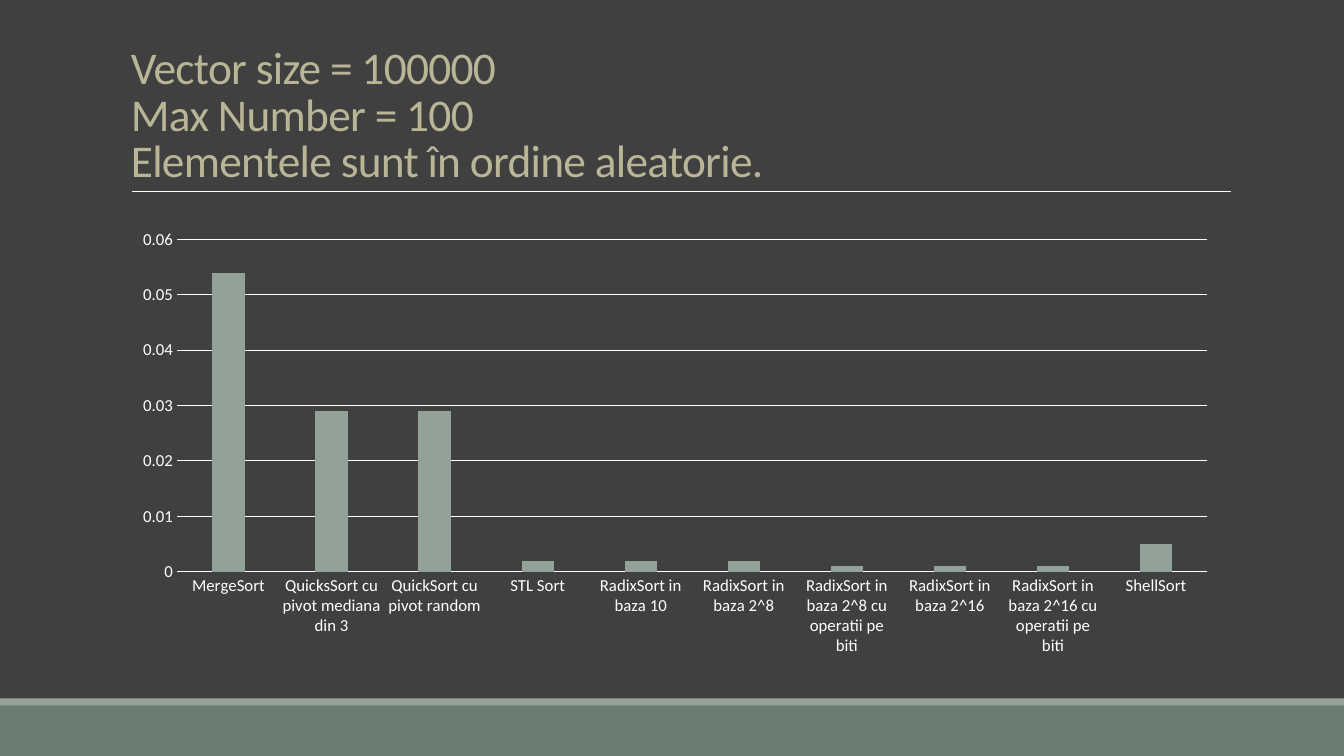
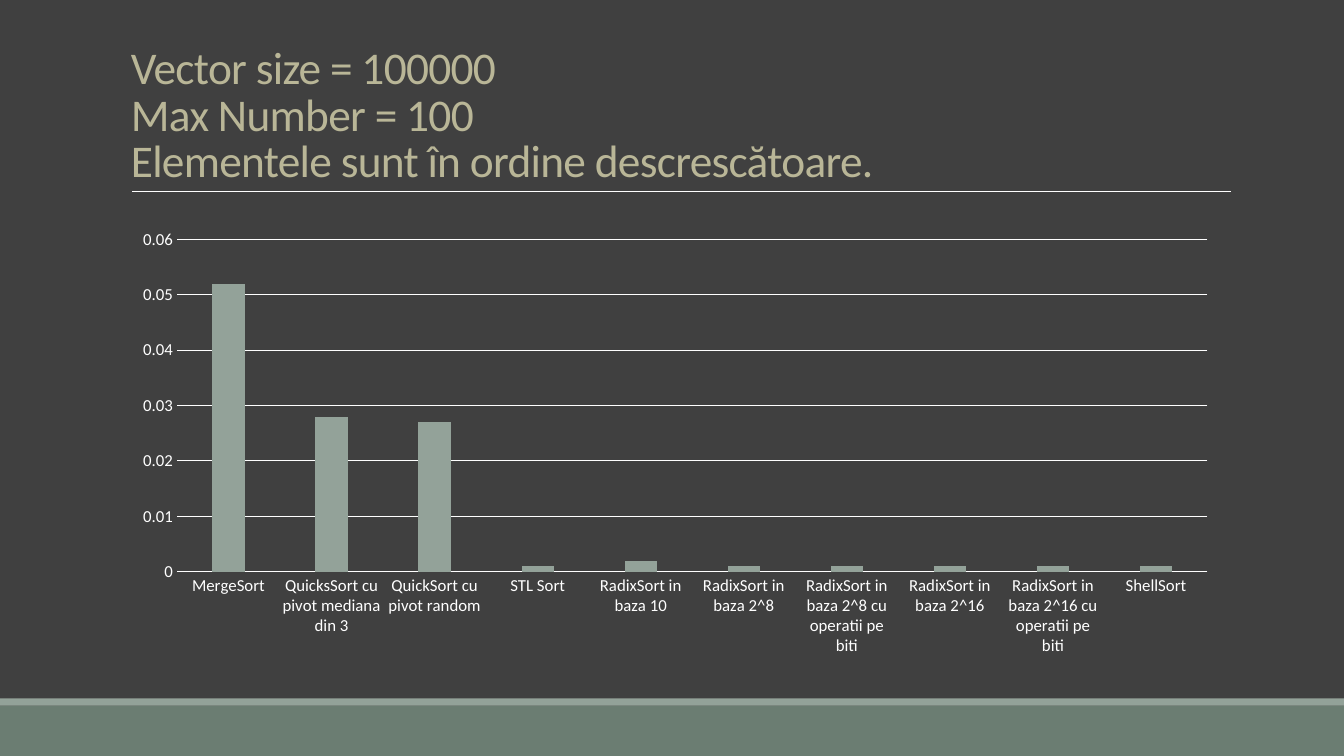
from dataclasses import dataclass

from lxml.etree import SubElement
from pptx import Presentation
from pptx.chart.data import CategoryChartData
from pptx.dml.color import RGBColor
from pptx.enum.chart import XL_CHART_TYPE as ChartType, XL_TICK_MARK as TickMark
from pptx.enum.shapes import MSO_CONNECTOR as Connector, MSO_SHAPE as Shape
from pptx.enum.text import MSO_ANCHOR as Anchor
from pptx.oxml.ns import qn
from pptx.slide import Slide
from pptx.util import Cm, Pt

FONT = "Calibri"
COLORS = {
    "background": "404040",
    "footer": "6B7D72",
    "accent": "93A299",
    "title": "B9B697",
    "light": "FFFFFF",
}
WIDTH, HEIGHT = 33.87, 19.05
LEFT, CONTENT_WIDTH = 3.05, 27.94
RULE_LEFT, RULE_RIGHT, RULE_TOP = 3.33, 31.01, 4.83

ALGORITHMS = (
    "MergeSort",
    "QuicksSort cu pivot mediana din 3",
    "QuickSort cu pivot random",
    "STL Sort",
    "RadixSort in baza 10",
    "RadixSort in baza 2^8",
    "RadixSort in baza 2^8 cu operatii pe biti",
    "RadixSort in baza 2^16",
    "RadixSort in baza 2^16 cu operatii pe biti",
    "ShellSort",
)


@dataclass(frozen=True)
class Band:
    top: float
    height: float
    color: str


@dataclass(frozen=True)
class Benchmark:
    order: str
    times: tuple[float, ...]


BANDS = (Band(17.78, 1.27, "footer"), Band(17.6, 0.18, "accent"))
BENCHMARKS = (
    Benchmark("aleatorie",
              (0.054, 0.029, 0.029, 0.002, 0.002, 0.002, 0.001, 0.001, 0.001, 0.005)),
    Benchmark("descrescătoare",
              (0.052, 0.028, 0.027, 0.001, 0.002, 0.001, 0.001, 0.001, 0.001, 0.001)),
)


def rgb(name: str) -> RGBColor:
    return RGBColor.from_string(COLORS[name])


def add_band(slide: Slide, band: Band) -> None:
    sp = slide.shapes.add_shape(
        Shape.RECTANGLE, Cm(0), Cm(band.top), Cm(WIDTH), Cm(band.height))
    sp.shadow.inherit = False
    sp.fill.solid()
    sp.fill.fore_color.rgb = rgb(band.color)
    sp.line.fill.background()


def add_rule(slide: Slide) -> None:
    rule = slide.shapes.add_connector(
        Connector.STRAIGHT, Cm(RULE_LEFT), Cm(RULE_TOP), Cm(RULE_RIGHT), Cm(RULE_TOP))
    rule.line.color.rgb = rgb("light")
    rule.line.width = Pt(0.5)
    SubElement(rule._element.spPr, qn("a:effectLst"))


def add_title(slide: Slide, order: str) -> None:
    sp = slide.shapes.add_textbox(Cm(LEFT), Cm(0.79), Cm(CONTENT_WIDTH), Cm(4.04))
    tf = sp.text_frame
    tf.word_wrap = True
    tf.vertical_anchor = Anchor.BOTTOM
    p = tf.paragraphs[0]
    p.text = f"Vector size = 100000\vMax Number = 100\vElementele sunt în ordine {order}."
    p.line_spacing = 0.85
    p.font.name = FONT
    p.font.size = Pt(32.4)
    p.font.color.rgb = rgb("title")
    p._p.pPr.find(qn("a:defRPr")).set("spc", "-50")


def add_times_chart(slide: Slide, times: tuple[float, ...]) -> None:
    data = CategoryChartData()
    data.categories = ALGORITHMS
    data.add_series("Series 1", times)
    chart = slide.shapes.add_chart(
        ChartType.COLUMN_CLUSTERED, Cm(LEFT), Cm(5.56), Cm(CONTENT_WIDTH), Cm(11.18),
        data).chart
    chart.has_title = False
    chart.has_legend = False
    chart.font.name = FONT
    chart.font.size = Pt(12)
    chart.font.color.rgb = rgb("light")

    plot = chart.plots[0]
    plot.vary_by_categories = False
    plot.gap_width = 219
    plot.overlap = -27
    fill = plot.series[0].format.fill
    fill.solid()
    fill.fore_color.rgb = rgb("accent")

    categories, values = chart.category_axis, chart.value_axis
    for axis in (categories, values):
        axis.major_tick_mark = TickMark.NONE
    values.minimum_scale = 0
    values.maximum_scale = 0.06
    values.major_unit = 0.01
    values.format.line.fill.background()
    for line in (categories.format.line, values.major_gridlines.format.line):
        line.color.rgb = rgb("light")
        line.width = Pt(0.75)


def main() -> None:
    prs = Presentation()
    prs.slide_width, prs.slide_height = Cm(WIDTH), Cm(HEIGHT)
    background = prs.slide_master.background.fill
    background.solid()
    background.fore_color.rgb = rgb("background")
    for benchmark in BENCHMARKS:
        slide = prs.slides.add_slide(prs.slide_layouts[6])
        for band in BANDS:
            add_band(slide, band)
        add_rule(slide)
        add_title(slide, benchmark.order)
        add_times_chart(slide, benchmark.times)
    prs.save("out.pptx")


if __name__ == "__main__":
    main()
